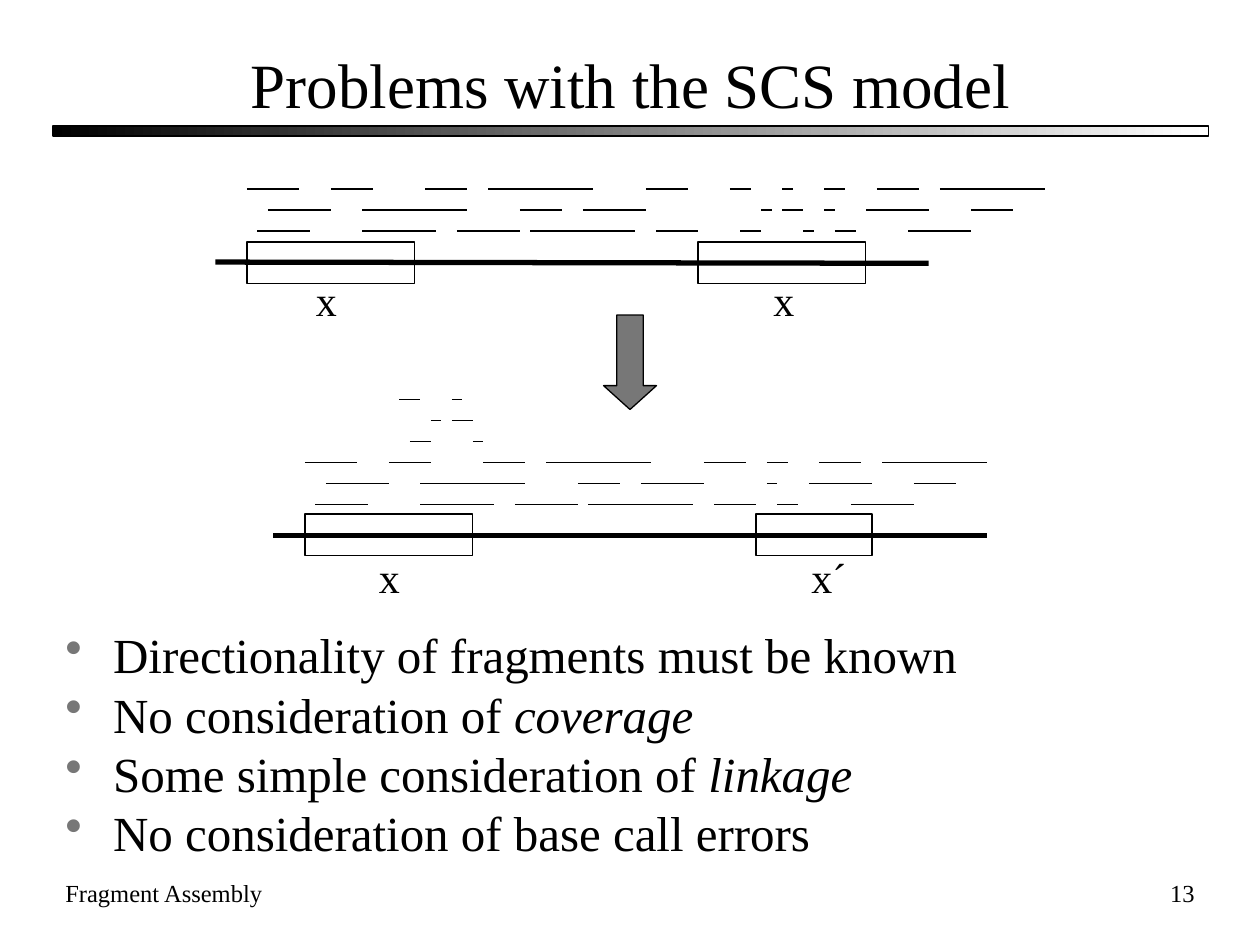
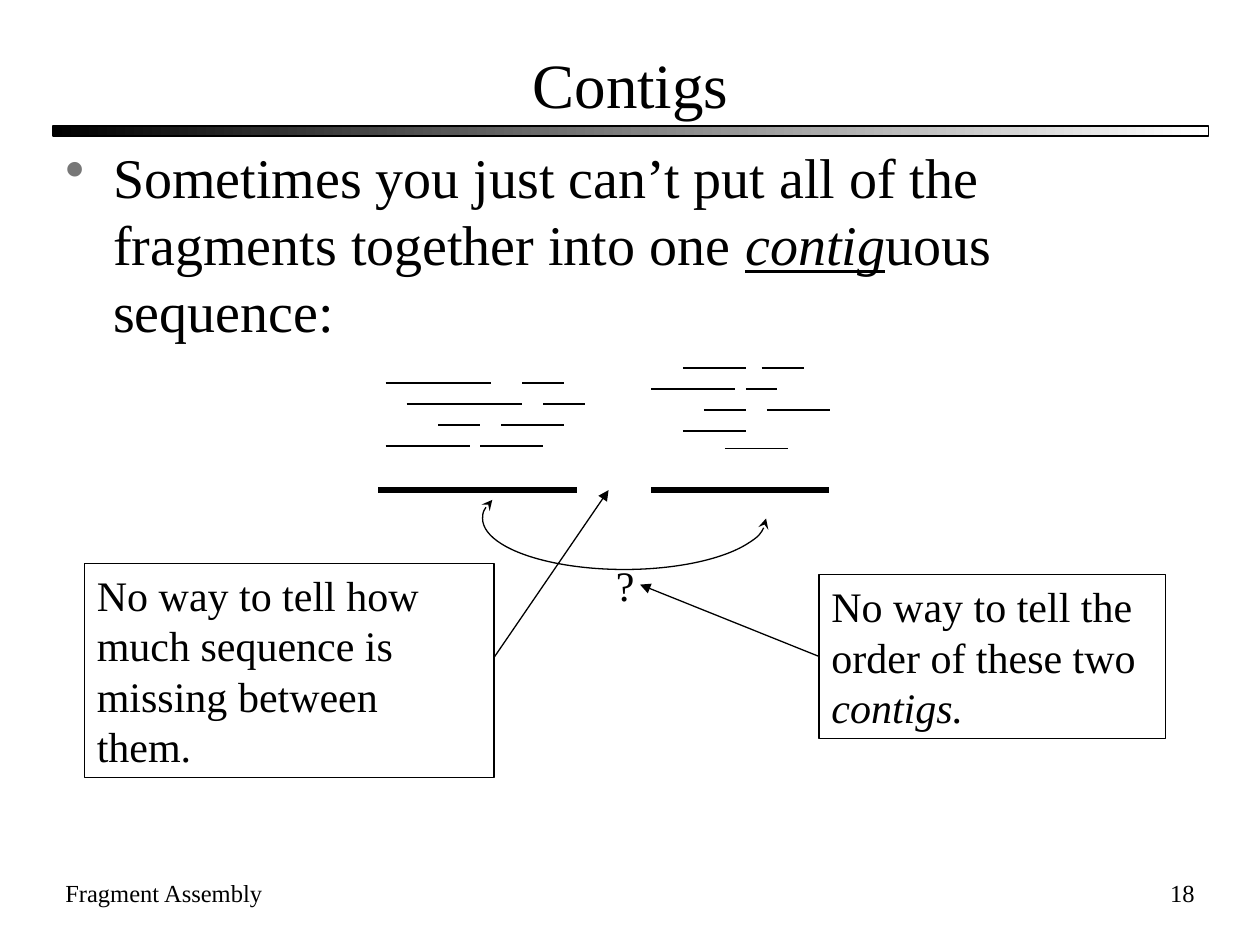
from typing import NamedTuple

from lxml import etree
from pptx import Presentation
from pptx.dml.color import RGBColor
from pptx.enum.shapes import MSO_CONNECTOR, MSO_SHAPE
from pptx.enum.text import MSO_ANCHOR, MSO_AUTO_SIZE, PP_ALIGN
from pptx.oxml.ns import qn
from pptx.util import Inches, Pt

BLACK = RGBColor(0x00, 0x00, 0x00)
WHITE = RGBColor(0xFF, 0xFF, 0xFF)
GRAY = RGBColor(0x77, 0x77, 0x77)
FONT = "Times New Roman"
LEFT, CENTER, RIGHT = PP_ALIGN.LEFT, PP_ALIGN.CENTER, PP_ALIGN.RIGHT
TOP, MIDDLE = MSO_ANCHOR.TOP, MSO_ANCHOR.MIDDLE
RECTANGLE, ARC, DOWN_ARROW = MSO_SHAPE.RECTANGLE, MSO_SHAPE.ARC, MSO_SHAPE.DOWN_ARROW
STRAIGHT = MSO_CONNECTOR.STRAIGHT
THIN, THICK = 0.75, 3
UNIT = 1 / 12  # fragment ends lie on this grid, in inches
ROW_GAP = 1 / 6


class Span(NamedTuple):
    text: str
    italic: bool = False
    underline: bool = False


class Area(NamedTuple):
    left: float
    top: float
    width: float
    height: float

    def lengths(self) -> list:
        return [Inches(value) for value in self]


class Label(NamedTuple):
    text: str
    left: float
    top: float
    width: float


class Layout(NamedTuple):
    """One sequence with its repeats and the fragments above it."""
    line: tuple
    boxes: list
    labels: list
    left: float
    top: float
    rows: list


# Shared parts
TITLE_AREA = Area(0.42, 0.33, 9.17, 0.67)
BAND_AREA = Area(0.42, 1, 9.17, 0.08)
FOOTER_AREA = Area(0.42, 6.92, 3.5, 0.5)
NUMBER_AREA = Area(7.5, 6.92, 2.08, 0.5)

# Fragments left of the second repeat, as (start, end) in grid units
COMMON_ROWS = [
    [(0, 5), (8, 12), (17, 21), (23, 33), (38, 42)],
    [(2, 8), (11, 21), (26, 30), (32, 38)],
    [(1, 6), (11, 18), (20, 26), (27, 37), (39, 43)],
]
TRUE_ROWS = [
    [(46, 48), (51, 52), (55, 57), (60, 64), (66, 76)],
    [(49, 50), (51, 53), (55, 56), (59, 65), (69, 73)],
    [(47, 49), (53, 54), (56, 58), (63, 69)],
]
SHORT_ROWS = [
    [(44, 46), (49, 53), (55, 65)],
    [(44, 45), (48, 54), (58, 62)],
    [(45, 47), (52, 58)],
]
STACKED_ROWS = [[(9, 11), (14, 15)], [(12, 13), (14, 16)], [(10, 12), (16, 17)]]


def joined(right_rows: list) -> list:
    return [common + right for common, right in zip(COMMON_ROWS, right_rows)]


LAYOUTS = [
    Layout((1.71, 2.08, 7.37, 2.09),
           [Area(1.96, 1.92, 1.33, 0.33), Area(5.54, 1.92, 1.33, 0.33)],
           [Label("x", 2.41, 2.13, 0.36), Label("x", 6.04, 2.13, 0.36)],
           1.96, 1.5, joined(TRUE_ROWS)),
    Layout((2.17, 4.25, 7.83, 4.25),
           [Area(2.42, 4.08, 1.33, 0.33), Area(6, 4.08, 0.92, 0.33)],
           [Label("x", 2.91, 4.33, 0.36), Label("x´", 6.34, 4.33, 0.48)],
           2.42, 3.17, STACKED_ROWS + joined(SHORT_ROWS)),
]
PROBLEMS = [
    [Span("Directionality of fragments must be known")],
    [Span("No consideration of "), Span("coverage", italic=True)],
    [Span("Some simple consideration of "), Span("linkage", italic=True)],
    [Span("No consideration of base call errors")],
]

LEFT_CONTIG = [
    [(0, 10), (13, 17)],
    [(2, 13), (15, 19)],
    [(5, 9), (11, 17)],
    [(0, 8), (9, 15)],
]
RIGHT_CONTIG = [
    [(3, 9), (10.5, 14.5)],
    [(0, 8), (9, 12)],
    [(5, 9), (11, 17)],
    [(3, 9)],
]
CONTIG_TEXT = [[
    Span("Sometimes you just can’t put all of the fragments together into one "),
    Span("contig", italic=True, underline=True),
    Span("uous sequence:"),
]]


def add_shape(page, kind, area: Area, fill: RGBColor | None = None):
    shape = page.shapes.add_shape(kind, *area.lengths())
    shape.shadow.inherit = False
    if fill is None:
        shape.fill.background()
    else:
        shape.fill.solid()
        shape.fill.fore_color.rgb = fill
    shape.line.color.rgb = BLACK
    shape.line.width = Pt(THIN)
    return shape


def add_line(page, x1: float, y1: float, x2: float, y2: float, width: float = THIN):
    line = page.shapes.add_connector(STRAIGHT, *map(Inches, (x1, y1, x2, y2)))
    etree.SubElement(line._element.spPr, qn("a:effectLst"))
    line.line.color.rgb = BLACK
    line.line.width = Pt(width)
    return line


def add_arrowheads(shape, kind: str, *ends: str) -> None:
    outline = shape.line._get_or_add_ln()
    for end in ends:
        etree.SubElement(outline, qn(f"a:{end}"), type=kind)


def write_text(shape, paragraphs: list, size: float, align=LEFT, anchor=TOP, wrap=True) -> None:
    frame = shape.text_frame
    frame.word_wrap = wrap
    frame.auto_size = MSO_AUTO_SIZE.NONE
    frame.vertical_anchor = anchor
    for index, spans in enumerate(paragraphs):
        para = frame.add_paragraph() if index else frame.paragraphs[0]
        para.alignment = align
        for span in spans:
            run = para.add_run()
            run.text = span.text
            run.font.name = FONT
            run.font.size = Pt(size)
            run.font.color.rgb = BLACK
            if span.italic:
                run.font.italic = True
            if span.underline:
                run.font.underline = True


def add_text(page, area: Area, paragraphs: list, size: float, align=LEFT, anchor=TOP, wrap=True):
    box = page.shapes.add_textbox(*area.lengths())
    write_text(box, paragraphs, size, align, anchor, wrap)
    return box


def add_label(page, label: Label) -> None:
    area = Area(label.left, label.top, label.width, 0.5)
    add_text(page, area, [[Span(label.text)]], 24, wrap=False)


def add_bullets(page, area: Area, paragraphs: list, size: float,
                space: float, line_spacing: float) -> None:
    box = add_text(page, area, paragraphs, size)
    for index, para in enumerate(box.text_frame.paragraphs):
        properties = para._p.get_or_add_pPr()
        properties.set("marL", str(Inches(0.38)))
        properties.set("indent", str(Inches(-0.38)))
        color = etree.SubElement(properties, qn("a:buClr"))
        etree.SubElement(color, qn("a:srgbClr"), val=str(GRAY))
        etree.SubElement(properties, qn("a:buChar"), char="•")
        para.line_spacing = line_spacing
        para.space_before = Pt(space if index else 0)


def add_fragments(page, left: float, top: float, rows: list) -> None:
    for index, row in enumerate(rows):
        y = top + index * ROW_GAP
        for start, end in row:
            add_line(page, left + start * UNIT, y, left + end * UNIT, y)


def add_page(deck, title: str, number: int):
    page = deck.slides.add_slide(deck.slide_layouts[6])
    band = add_shape(page, RECTANGLE, BAND_AREA)
    band.fill.gradient()
    band.fill.gradient_angle = 0
    for stop, color in zip(band.fill.gradient_stops, (BLACK, WHITE)):
        stop.color.rgb = color
    add_text(page, TITLE_AREA, [[Span(title)]], 36, CENTER, MIDDLE)
    add_text(page, FOOTER_AREA, [[Span("Fragment Assembly")]], 14)
    add_text(page, NUMBER_AREA, [[Span(str(number))]], 14, RIGHT)
    return page


def build_problems(deck) -> None:
    page = add_page(deck, "Problems with the SCS model", 13)
    for layout in LAYOUTS:
        add_line(page, *layout.line, width=THICK)
        for area in layout.boxes:
            add_shape(page, RECTANGLE, area)
        add_fragments(page, layout.left, layout.top, layout.rows)
        for label in layout.labels:
            add_label(page, label)
    arrow = add_shape(page, DOWN_ARROW, Area(4.79, 2.5, 0.42, 0.75), GRAY)
    arrow.adjustments[1] = 0.45
    add_bullets(page, Area(0.42, 5, 9.17, 2), PROBLEMS, 28, 7, 0.8)


def build_contigs(deck) -> None:
    page = add_page(deck, "Contigs", 18)
    add_bullets(page, Area(0.42, 1.08, 9.17, 1.75), CONTIG_TEXT, 32, 0, 1)

    # Two contigs with their fragments
    add_fragments(page, 3.06, 3.04, LEFT_CONTIG)
    add_fragments(page, 5.17, 2.92, RIGHT_CONTIG)
    add_fragments(page, 5.17, 3.56, [[(7, 13)]])
    for start, end in ((3, 4.58), (5.17, 6.58)):
        add_line(page, start, 3.89, end, 3.89, THICK)

    # Curve between the contigs; arc angles are in units of 5/3 degree
    curve = add_shape(page, ARC, Area(4.55, 2.99, 0.81, 2.25))
    curve.rotation = 90
    curve.adjustments[0] = 270 * 0.6
    curve.adjustments[1] = 98 * 0.6
    add_arrowheads(curve, "stealth", "headEnd", "tailEnd")
    add_label(page, Label("?", 4.79, 4.39, 0.35))

    # Notes and their pointers
    order_note = add_shape(page, RECTANGLE, Area(6.5, 4.56, 2.75, 1.3))
    write_text(order_note, [[Span("No way to tell the order of these two "),
                             Span("contigs.", italic=True)]], 24)
    gap_note = add_shape(page, RECTANGLE, Area(0.67, 4.47, 3.25, 1.7))
    write_text(gap_note, [[Span("No way to tell how much sequence is missing between them.")]], 24)
    order_pointer = add_line(page, 6.5, 5.21, 5.08, 4.64)
    order_pointer.begin_connect(order_note, 1)
    gap_pointer = add_line(page, 3.92, 5.22, 4.83, 3.89)
    for pointer in (order_pointer, gap_pointer):
        add_arrowheads(pointer, "triangle", "tailEnd")


def main() -> None:
    deck = Presentation()
    deck.slide_width, deck.slide_height = Inches(10), Inches(7.5)
    build_problems(deck)
    build_contigs(deck)
    deck.save("out.pptx")


if __name__ == "__main__":
    main()
